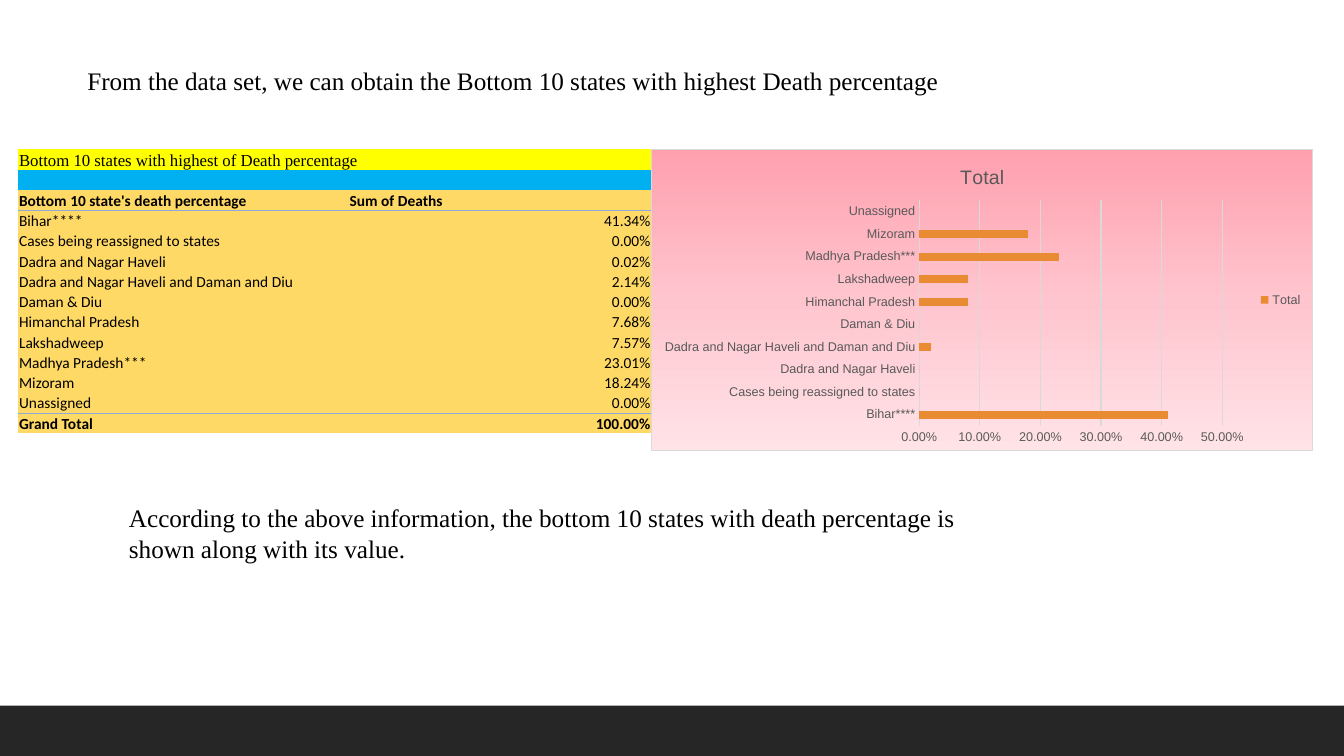
import lxml.etree
import pptx
import pptx.chart.data
import pptx.dml.color
import pptx.enum.chart
import pptx.enum.shapes
import pptx.enum.text
import pptx.oxml
import pptx.oxml.ns
import pptx.util

Cm = pptx.util.Cm
Pt = pptx.util.Pt
qn = pptx.oxml.ns.qn

HUES = {
    "black": "000000", "bar": "262626", "yellow": "FFFF00", "blue": "00B0F0",
    "gold": "FFD966", "rule": "8EA9DB", "gray": "595959", "grid": "D9D9D9",
    "orange": "E88B33", "rose": "FFA0AF", "pink": "FFC5CE", "pale": "FFE3E7",
}
SERIF = {"name": "Times New Roman", "size": Pt(18)}
HEAD = {"name": "Times New Roman", "size": Pt(12)}
BODY = {"name": "Calibri", "size": Pt(11), "bold": False}
BOLD = {**BODY, "bold": True}
LABEL = {"name": "Arial", "size": Pt(9), "bold": False}
TITLE = {**LABEL, "size": Pt(14)}
CELL = {
    "margin_left": Cm(0.02), "margin_right": Cm(0.02), "margin_top": Cm(0.02),
    "margin_bottom": 0, "vertical_anchor": pptx.enum.text.MSO_ANCHOR.BOTTOM,
}
PLAIN = "{2D5ABB26-0587-4C30-8999-92F81FD0307C}"
SPACE = 'xmlns:a="http://schemas.openxmlformats.org/drawingml/2006/main"'
CHART = 'xmlns:c="http://schemas.openxmlformats.org/drawingml/2006/chart"'

STATES = [
    ("Bihar****", 0.4134),
    ("Cases being reassigned to states", 0),
    ("Dadra and Nagar Haveli", 0.0002),
    ("Dadra and Nagar Haveli and Daman and Diu", 0.0214),
    ("Daman & Diu", 0),
    ("Himanchal Pradesh", 0.0768),
    ("Lakshadweep", 0.0757),
    ("Madhya Pradesh***", 0.2301),
    ("Mizoram", 0.1824),
    ("Unassigned", 0),
]


def apply(target, values):
    for key, value in values.items():
        setattr(target, key, value)


def tint(name):
    return pptx.dml.color.RGBColor.from_string(HUES[name])


def paint(fill, name):
    fill.solid()
    fill.fore_color.rgb = tint(name)


def write(font, style, hue="black"):
    apply(font, style)
    font.color.rgb = tint(hue)


def stroke(line, hue):
    line.color.rgb = tint(hue)
    line.width = Pt(0.75)


class Page:
    def __init__(self, deck):
        self.slide = deck.slides.add_slide(deck.slide_layouts[6])
        self.shapes = self.slide.shapes

    def band(self, *box):
        shape = self.shapes.add_shape(pptx.enum.shapes.MSO_SHAPE.RECTANGLE, *map(Cm, box))
        shape.shadow.inherit = False
        paint(shape.fill, "bar")
        shape.line.fill.background()

    def text(self, words, *box):
        frame = self.shapes.add_textbox(*map(Cm, box)).text_frame
        frame.word_wrap = True
        run = frame.paragraphs[0].add_run()
        run.text = words
        write(run.font, SERIF)

    def cell(self, cell, words, hue, style, right=False, ruled=False):
        apply(cell, CELL)
        paint(cell.fill, hue)
        part = cell.text_frame.paragraphs[0]
        if words:
            run = part.add_run()
            run.text = words
            write(run.font, style)
        else:
            lxml.etree.SubElement(part._p, qn("a:endParaRPr"), sz="1100")
        if right:
            part.alignment = pptx.enum.text.PP_ALIGN.RIGHT
        if ruled:
            line = pptx.oxml.parse_xml(
                f'<a:lnB {SPACE} w="6350"><a:solidFill>'
                f'<a:srgbClr val="{HUES["rule"]}"/></a:solidFill></a:lnB>')
            cell._tc.get_or_add_tcPr().insert(0, line)

    def table(self, *box):
        rows = [(name, f"{share:.2%}") for name, share in STATES]
        rows = [("Bottom 10 states with highest of Death percentage", ""), ("", ""),
                ("Bottom 10 state's death percentage", "Sum of Deaths"),
                *rows, ("Grand Total", "100.00%")]
        last = len(rows) - 1
        hues = {0: "yellow", 1: "blue"}
        styles = {0: HEAD, 2: BOLD, last: BOLD}
        table = self.shapes.add_table(len(rows), 2, *map(Cm, box)).table
        apply(table, {"first_row": False, "horz_banding": False})
        table._tbl.tblPr.find(qn("a:tableStyleId")).text = PLAIN
        for col, width in zip(table.columns, (8.33, 7.62)):
            col.width = Cm(width)
        for i, pair in enumerate(rows):
            table.rows[i].height = Cm(0.51 if i else 0.54)
            for j, words in enumerate(pair):
                self.cell(table.cell(i, j), words, hues.get(i, "gold"),
                          styles.get(i, BODY), j == 1 and i > 2, i in (2, last - 1))
        table.cell(0, 0).merge(table.cell(0, 1))

    def chart(self, *box):
        data = pptx.chart.data.CategoryChartData(number_format="0.00%")
        data.categories = [name for name, share in STATES]
        data.add_series("Total", [round(share, 2) for name, share in STATES])
        kind = pptx.enum.chart.XL_CHART_TYPE.BAR_CLUSTERED
        chart = self.shapes.add_chart(kind, *map(Cm, box), data).chart
        write(chart.font, {"name": "Arial", "size": Pt(10)})
        apply(chart, {"has_title": True, "has_legend": True})
        run = chart.chart_title.text_frame.paragraphs[0].add_run()
        run.text = "Total"
        write(run.font, TITLE, "gray")
        apply(chart.legend, {"include_in_layout": False,
                             "position": pptx.enum.chart.XL_LEGEND_POSITION.RIGHT})
        write(chart.legend.font, LABEL, "gray")
        plot = chart.plots[0]
        apply(plot, {"gap_width": 182, "vary_by_categories": False})
        paint(plot.series[0].format.fill, "orange")
        none = pptx.enum.chart.XL_TICK_MARK.NONE
        for axis in (chart.category_axis, chart.value_axis):
            apply(axis, {"major_tick_mark": none, "minor_tick_mark": none})
            write(axis.tick_labels.font, LABEL, "gray")
        apply(chart.category_axis, {"has_major_gridlines": False})
        stroke(chart.category_axis.format.line, "grid")
        scale = chart.value_axis
        apply(scale, {"minimum_scale": 0, "maximum_scale": 0.5, "major_unit": 0.1,
                      "has_major_gridlines": True})
        apply(scale.tick_labels, {"number_format": "0.00%", "number_format_is_linked": False})
        scale.format.line.fill.background()
        stroke(scale.major_gridlines.format.line, "grid")
        self.shade(chart)

    def shade(self, chart):
        stops = "".join(
            f'<a:gs pos="{i * 50000}"><a:srgbClr val="{HUES[hue]}"/></a:gs>'
            for i, hue in enumerate(("rose", "pink", "pale")))
        style = pptx.oxml.parse_xml(
            f'<c:spPr {CHART} {SPACE}><a:gradFill><a:gsLst>{stops}</a:gsLst>'
            f'<a:lin ang="5400000" scaled="0"/></a:gradFill><a:ln w="9525"><a:solidFill>'
            f'<a:srgbClr val="{HUES["grid"]}"/></a:solidFill></a:ln></c:spPr>')
        chart._chartSpace.find(qn("c:chart")).addnext(style)


def main():
    deck = pptx.Presentation()
    apply(deck, {"slide_width": Cm(33.87), "slide_height": Cm(19.05)})
    page = Page(deck)
    page.band(0, 17.78, 33.87, 1.27)
    page.table(0.46, 3.75, 15.95, 7.17)
    page.chart(16.41, 3.75, 16.69, 7.62)
    page.text("From the data set, we can obtain the Bottom 10 states with highest "
              "Death percentage", 1.95, 1.52, 24.36, 1.02)
    page.text("According to the above information, the bottom 10 states with death "
              "percentage is shown along with its value.", 3, 12.54, 22.78, 1.8)
    deck.save("out.pptx")


if __name__ == "__main__":
    main()
